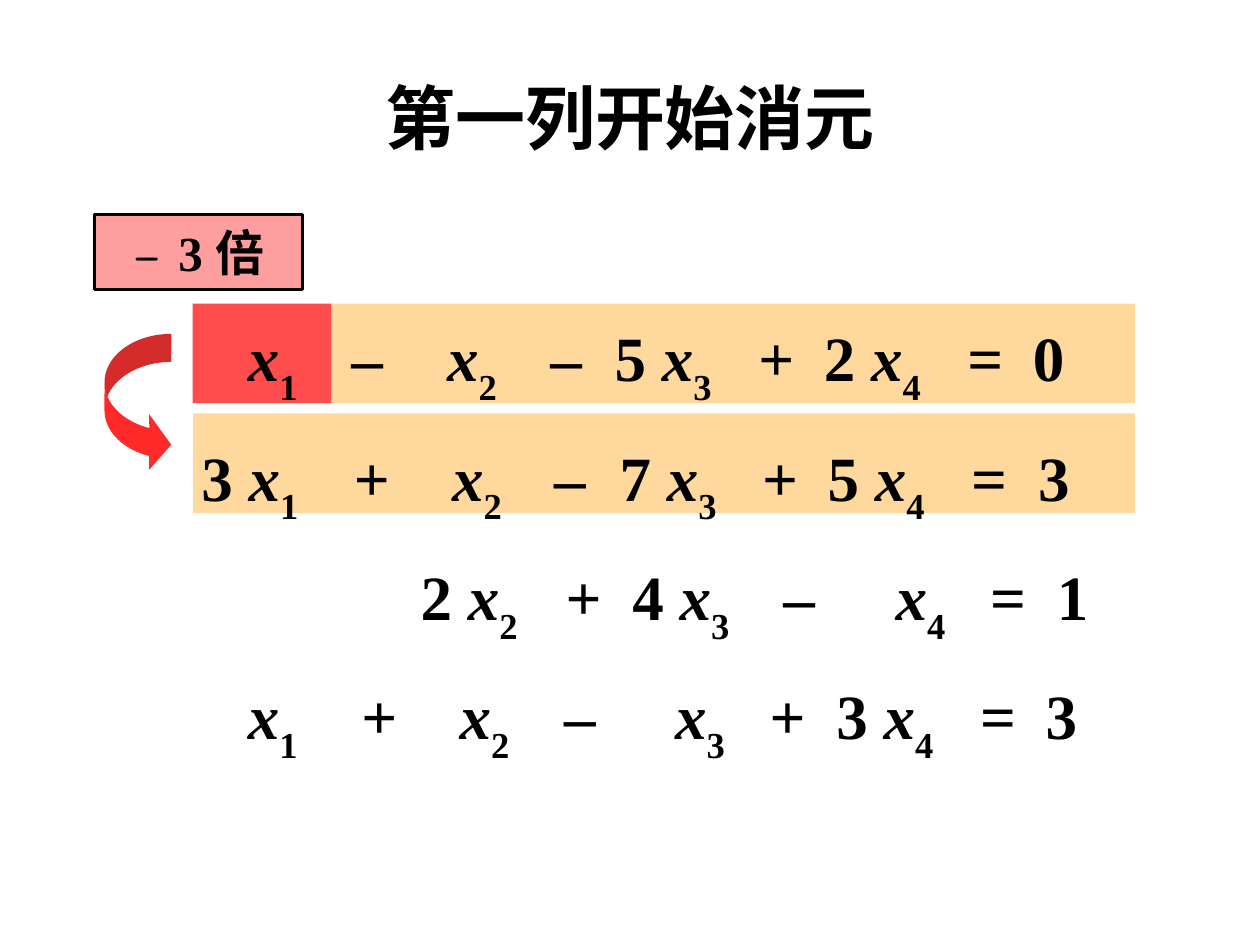
from lxml import etree
from pptx import Presentation
from pptx.dml.color import RGBColor
from pptx.enum import shapes, text
from pptx.oxml import ns
from pptx.util import Inches, Pt

SERIF = "Times New Roman"
EQUATIONS = [
    [(1.37, "x1"), (2.19, "–"), (2.95, "x2"), (3.77, "–"), (4.28, "5 x3"),
     (5.42, "+"), (5.94, "2 x4"), (7.08, "="), (7.6, "0")],
    [(1, "3 x1"), (2.21, "+"), (2.99, "x2"), (3.8, "–"), (4.32, "7 x3"),
     (5.45, "+"), (5.97, "5 x4"), (7.11, "="), (7.64, "3")],
    [(2.74, "2 x2"), (3.89, "+"), (4.42, "4 x3"), (5.62, "–"), (6.51, "x4"),
     (7.26, "="), (7.79, "1")],
    [(1.37, "x1"), (2.27, "+"), (3.05, "x2"), (3.88, "–"), (4.76, "x3"),
     (5.51, "+"), (6.04, "3 x4"), (7.18, "="), (7.7, "3")],
]


def paint(color_format, hex_color):
    color_format.rgb = RGBColor.from_string(hex_color)


def style(font, size, name=SERIF, bold=True):
    font.size = Pt(size)
    font.name = name
    font.bold = bold
    paint(font.color, "000000")


def add_tint(slide, kind, box, hex_color, opacity):
    tint = slide.shapes.add_shape(kind, *map(Inches, box))
    tint.shadow.inherit = False
    tint.fill.solid()
    paint(tint.fill.fore_color, hex_color)
    color = tint.element.spPr.find(".//" + ns.qn("a:srgbClr"))
    etree.SubElement(color, ns.qn("a:alpha"), val=str(opacity * 1000))
    tint.line.fill.background()
    return tint


def fill_title(slide, box):
    title = slide.shapes.title
    title.left, title.top, title.width, title.height = map(Inches, box)
    title.text_frame.vertical_anchor = text.MSO_ANCHOR.MIDDLE
    heading = title.text_frame.paragraphs[0]
    heading.text = "第一列开始消元"
    heading.alignment = text.PP_ALIGN.CENTER
    style(heading.font, 40)


def add_row_bands(slide, box, pivot_width):
    left, top, width, height = box
    rect = shapes.MSO_SHAPE.RECTANGLE
    add_tint(slide, rect, (left, top, pivot_width, height), "FF0000", 70)
    add_tint(slide, rect, (left, top + 0.87, width, height), "FF9900", 38)
    add_tint(slide, rect, (left + pivot_width, top, width - pivot_width, height),
             "FF9900", 38)


def add_multiplier(slide, box):
    multiplier = add_tint(slide, shapes.MSO_SHAPE.RECTANGLE, box, "FF0000", 38)
    paint(multiplier.line.color, "000000")
    multiplier.line.width = Pt(1.75)
    label = multiplier.text_frame.paragraphs[0]
    label.alignment = text.PP_ALIGN.CENTER
    for words, name, bold in (("– ", "Comic Neue", False), ("3 倍", SERIF, True)):
        run = label.add_run()
        run.text = words
        style(run.font, 28, name, bold)


def add_row_arrow(slide, box):
    arrow = add_tint(slide, shapes.MSO_SHAPE.CURVED_RIGHT_ARROW, box, "FF0000", 83)
    for index, value in enumerate((0.42, 0.83, 0.33)):
        arrow.adjustments[index] = value


def add_term(equation, term):
    coefficient, variable, subscript = term.partition("x")
    equation.add_run().text = "\t" + coefficient
    if variable:
        unknown = equation.add_run()
        unknown.text = variable
        unknown.font.italic = True
        index = equation.add_run()
        index.text = subscript
        index.font._element.set("baseline", "-30000")


def add_equations(slide, box):
    frame = slide.shapes.add_textbox(*map(Inches, box)).text_frame
    frame.word_wrap = True
    for number, terms in enumerate(EQUATIONS):
        equation = frame.add_paragraph() if number else frame.paragraphs[0]
        properties = equation._p.get_or_add_pPr()
        tabs = etree.SubElement(properties, ns.qn("a:tabLst"))
        for position, term in terms:
            etree.SubElement(tabs, ns.qn("a:tab"), pos=str(Inches(position)), algn="l")
            add_term(equation, term)
        equation.line_spacing = 1.2
        equation.space_before = Pt(7 if number else 0)
        style(equation.font, 36)


def main():
    deck = Presentation()
    deck.slide_width, deck.slide_height = Inches(10), Inches(7.5)
    slide = deck.slides.add_slide(deck.slide_layouts[5])
    fill_title(slide, (0.5, 0.3, 9, 1.25))
    add_row_bands(slide, (1.53, 2.41, 7.48, 0.79), 1.1)
    add_multiplier(slide, (0.75, 1.7, 1.65, 0.6))
    add_row_arrow(slide, (0.83, 2.65, 0.53, 1.1))
    add_equations(slide, (0.5, 2.34, 9, 4.37))
    deck.save("out.pptx")


if __name__ == "__main__":
    main()
